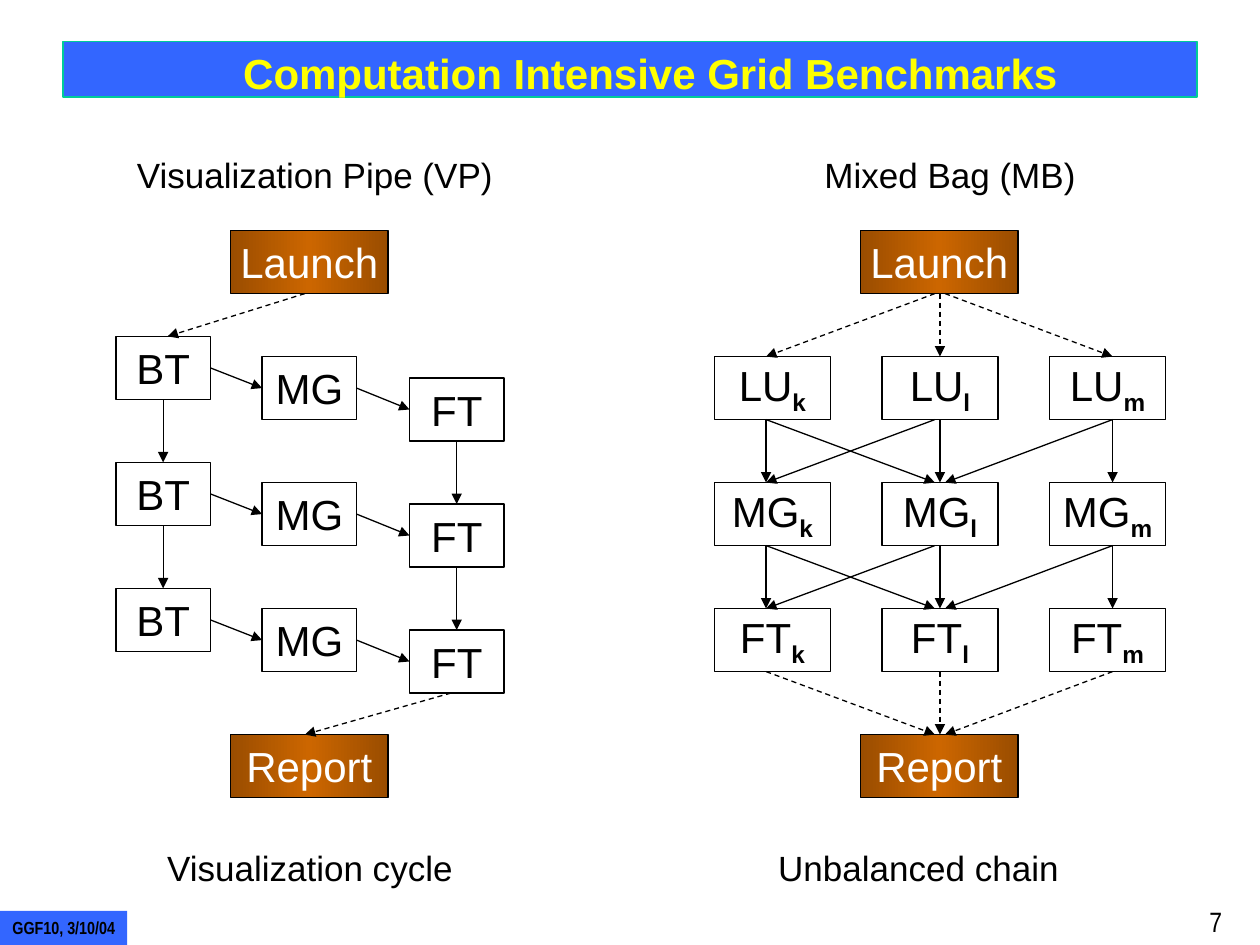
from copy import deepcopy
from dataclasses import dataclass

from lxml.etree import SubElement
from pptx import Presentation
from pptx.dml.color import RGBColor
from pptx.enum.dml import MSO_LINE
from pptx.enum.shapes import MSO_CONNECTOR as CONNECTOR, MSO_SHAPE as SHAPE
from pptx.enum.text import MSO_ANCHOR as ANCHOR, MSO_AUTO_SIZE as AUTO_SIZE, PP_ALIGN as ALIGN
from pptx.oxml.ns import qn
from pptx.util import Inches, Pt


@dataclass(frozen=True)
class Theme:
    """Colours, fonts and type sizes of the slide."""
    black: RGBColor = RGBColor(0x00, 0x00, 0x00)
    white: RGBColor = RGBColor(0xFF, 0xFF, 0xFF)
    yellow: RGBColor = RGBColor(0xFF, 0xFF, 0x00)
    blue: RGBColor = RGBColor(0x33, 0x66, 0xFF)
    green: RGBColor = RGBColor(0x00, 0xCC, 0x99)
    orange: RGBColor = RGBColor(0xCC, 0x66, 0x00)
    brown: RGBColor = RGBColor(0x9A, 0x4D, 0x00)
    font: str = "Arial"
    narrow: str = "Arial Narrow"
    large: int = 24
    caption: int = 20
    number: int = 16
    footer: int = 10
    line: float = 0.75


THEME = Theme()
BOX_HEIGHT = 0.5
ROWS = range(3)
PIPE_STEPS = (("BT", 0.92, 2.67), ("MG", 2.08, 2.83), ("FT", 3.25, 3))
BAG_COLUMNS = (("k", 5.67), ("l", 7), ("m", 8.33))
BAG_TASKS = ("LU", "MG", "FT")
FAN = ((7.42, 6.08), (7.46, 7.46), (7.5, 8.83))
CROSSING = ((6.08, 6.08), (7.46, 7.46), (8.83, 8.83),
            (6.08, 7.42), (7.42, 6.08), (8.83, 7.5))


def write(shape, text, subscript="", align=ALIGN.CENTER, anchor=ANCHOR.MIDDLE,
          wrap=False, **font):
    """Write one line of text, with an optional bold subscript."""
    frame = shape.text_frame
    settings = {"auto_size": AUTO_SIZE.NONE, "word_wrap": wrap, "vertical_anchor": anchor}
    for name, value in settings.items():
        setattr(frame, name, value)
    paragraph = frame.paragraphs[0]
    paragraph.alignment = align
    color = font.pop("color", THEME.black)
    style = {"name": THEME.font, "size": Pt(font.pop("points", THEME.large)), **font}
    for part in filter(None, (text, subscript)):
        run = paragraph.add_run()
        run.text = part
        for name, value in style.items():
            setattr(run.font, name, value)
        run.font.color.rgb = color
    if subscript:
        run.font.bold = True
        run._r.get_or_add_rPr().set("baseline", "-25000")


def add_box(shapes, left, top, width, height=BOX_HEIGHT, fill=None, line=THEME.black):
    """Add a rectangle with a plain fill or none."""
    box = shapes.add_shape(SHAPE.RECTANGLE, Inches(left), Inches(top),
                           Inches(width), Inches(height))
    box.shadow.inherit = False
    if fill is None:
        box.fill.background()
    else:
        box.fill.solid()
        box.fill.fore_color.rgb = fill
    if line is None:
        box.line.fill.background()
    else:
        box.line.color.rgb = line
        box.line.width = Pt(THEME.line)
    return box


def add_terminal(shapes, left, top, text):
    """Add a start or end box with a brown and orange gradient."""
    box = add_box(shapes, left, top, 1.25)
    box.fill.gradient()
    box.fill.gradient_angle = 0
    stop_list = box._element.spPr.find(".//" + qn("a:gsLst"))
    stop_list.insert(1, deepcopy(stop_list[0]))
    colors = (THEME.brown, THEME.orange, THEME.brown)
    for stop, position, color in zip(box.fill.gradient_stops, (0, 0.5, 1), colors):
        stop.position = position
        stop.color.rgb = color
    write(box, text, color=THEME.white)


def add_arrow(shapes, start, end, dashed=False):
    """Add a straight arrow between two points."""
    arrow = shapes.add_connector(CONNECTOR.STRAIGHT, *map(Inches, (*start, *end)))
    arrow.line.color.rgb = THEME.black
    arrow.line.width = Pt(THEME.line)
    if dashed:
        arrow.line.dash_style = MSO_LINE.DASH
    SubElement(arrow.line._get_or_add_ln(), qn("a:tailEnd"), type="triangle")
    SubElement(arrow._element.spPr, qn("a:effectLst"))


def add_text(shapes, left, top, width, height, text, **style):
    """Add a wrapping text box."""
    box = shapes.add_textbox(*map(Inches, (left, top, width, height)))
    write(box, text, anchor=ANCHOR.TOP, wrap=True, **style)


def add_caption(shapes, left, top, width, text):
    """Add a centred caption for a diagram."""
    add_text(shapes, left, top, width, 0.44, text, points=THEME.caption)


def add_title(slide, text):
    """Place the title on its blue bar."""
    add_box(slide.shapes, 0.5, 0.33, 9, 0.44, THEME.blue, THEME.green)
    title = slide.shapes.title
    title.left, title.top, title.width, title.height = map(Inches, (1.83, 0.33, 6.9, 0.5))
    write(title, text, align=ALIGN.LEFT, anchor=ANCHOR.TOP, color=THEME.yellow, bold=True)
    slide.shapes._spTree.append(title._element)


def add_footer(shapes, text, number):
    """Add the event tag and the page number."""
    tag = add_box(shapes, 0, 7.23, 1.01, 0.27, THEME.blue, None)
    write(tag, text, align=ALIGN.LEFT, name=THEME.narrow, points=THEME.footer, bold=True)
    add_text(shapes, 9.5, 7.13, 0.5, 0.37, number, align=ALIGN.LEFT,
             name=THEME.narrow, points=THEME.number)


def add_visualization_pipe(shapes):
    """Draw the pipe of three rows with three steps each."""
    width = 0.75
    add_caption(shapes, 0, 1.17, 5, "Visualization Pipe (VP)")
    add_terminal(shapes, 1.83, 1.83, "Launch")
    add_terminal(shapes, 1.83, 5.83, "Report")
    for row in ROWS:
        for task, left, top in PIPE_STEPS:
            write(add_box(shapes, left, top + row, width), task)
        for (_, left, top), (_, next_left, next_top) in zip(PIPE_STEPS, PIPE_STEPS[1:]):
            add_arrow(shapes, (left + width, top + row + BOX_HEIGHT / 2),
                      (next_left, next_top + row + BOX_HEIGHT / 2))
    for _, left, top in (PIPE_STEPS[0], PIPE_STEPS[-1]):
        center = left + width / 2
        for row in ROWS[1:]:
            add_arrow(shapes, (center, top + row - BOX_HEIGHT), (center, top + row))
    add_arrow(shapes, (2.42, 2.33), (1.33, 2.67), dashed=True)
    add_arrow(shapes, (3.58, 5.5), (2.42, 5.83), dashed=True)
    add_caption(shapes, 0.75, 6.67, 3.42, "Visualization cycle")


def add_mixed_bag(shapes):
    """Draw the grid of tasks with crossing links."""
    add_caption(shapes, 5.83, 1.17, 3.42, "Mixed Bag (MB)")
    add_terminal(shapes, 6.83, 1.83, "Launch")
    add_terminal(shapes, 6.83, 5.83, "Report")
    for row, task in enumerate(BAG_TASKS):
        for subscript, left in BAG_COLUMNS:
            write(add_box(shapes, left, 2.83 + row, 0.92), task, subscript)
    fan_in = [(end, start) for start, end in FAN]
    for row, links in enumerate((FAN, CROSSING, CROSSING, fan_in)):
        for start, end in links:
            add_arrow(shapes, (start, 2.33 + row), (end, 2.83 + row),
                      dashed=links is not CROSSING)


def main():
    """Build and save the slide."""
    presentation = Presentation()
    presentation.slide_width, presentation.slide_height = Inches(10), Inches(7.5)
    slide = presentation.slides.add_slide(presentation.slide_layouts[5])
    add_title(slide, "Computation Intensive Grid Benchmarks")
    add_footer(slide.shapes, "GGF10, 3/10/04", "7")
    add_visualization_pipe(slide.shapes)
    add_mixed_bag(slide.shapes.add_group_shape().shapes)
    add_caption(slide.shapes, 5.58, 6.67, 3.42, "Unbalanced chain")
    presentation.save("out.pptx")


if __name__ == "__main__":
    main()
